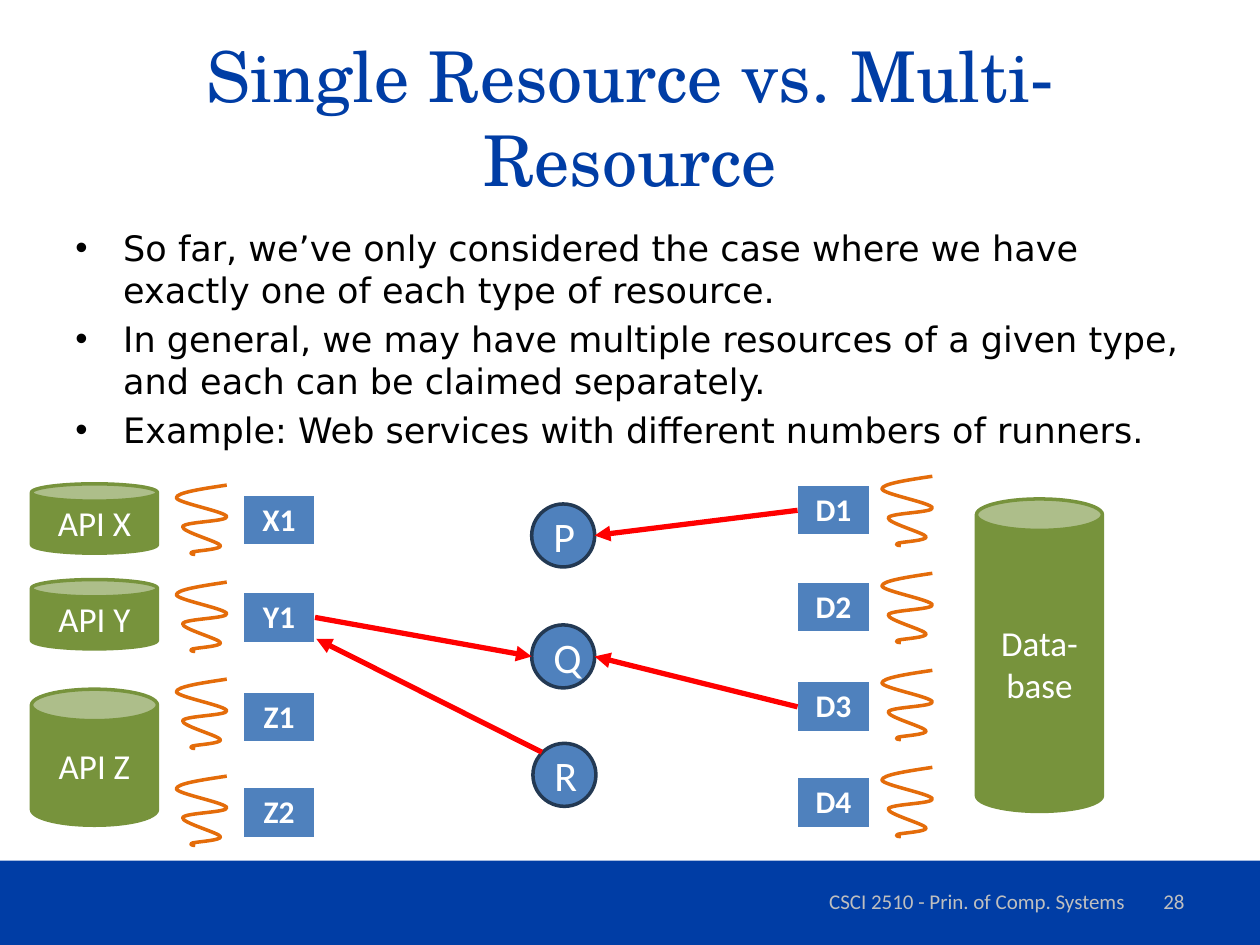
from lxml.etree import SubElement
from pptx import Presentation
from pptx.dml.color import RGBColor
from pptx.enum.shapes import MSO_CONNECTOR, MSO_SHAPE
from pptx.enum.text import MSO_ANCHOR, PP_ALIGN
from pptx.oxml.ns import qn
from pptx.util import Pt

PX = 9144
COLORS = {
    "navy": "003DA5", "white": "FFFFFF", "black": "000000", "grey": "BFBFBF",
    "green": "77933C", "blue": "4F81BD", "outline": "233953",
    "orange": "E46C0A", "red": "FF0000",
}
COIL_START = (40, 0)
COIL_CURVES = [
    ((20, 3), (0, 6), (0, 10)),
    ((0, 14), (39, 21), (40, 25)),
    ((41, 29), (6, 29), (5, 33)),
    ((4, 37), (34, 45), (35, 48)),
    ((36, 51), (17, 52), (13, 53)),
    ((10, 54), (12, 55), (15, 55)),
]
COIL_TOPS = [0, 77, 154, 231]
RUNNER_TOPS = [0, 77, 156, 232]


def emu(*lengths):
    return [v * PX for v in lengths]


def rgb(name):
    return RGBColor.from_string(COLORS[name])


def style_text(p, size, color, font="Calibri", align=PP_ALIGN.CENTER, bold=False):
    p.alignment = align
    for r in p.runs:
        r.font.size = Pt(size)
        r.font.name = font
        r.font.bold = bold
        r.font.color.rgb = rgb(color)


def add_text(s, box, text, size, color, font="Calibri", align=PP_ALIGN.CENTER):
    tf = s.shapes.add_textbox(*emu(*box)).text_frame
    tf.word_wrap = True
    tf.vertical_anchor = MSO_ANCHOR.MIDDLE
    tf.text = text
    style_text(tf.paragraphs[0], size, color, font, align)


def add_node(s, kind, box, text, size, fill, line):
    sp = s.shapes.add_shape(kind, *emu(*box))
    sp.shadow.inherit = False
    sp.fill.solid()
    sp.fill.fore_color.rgb = rgb(fill)
    sp.line.color.rgb = rgb(line)
    sp.line.width = Pt(2)
    tf = sp.text_frame
    tf.vertical_anchor = MSO_ANCHOR.MIDDLE
    tf.text = text
    style_text(tf.paragraphs[0], size, "white")


def add_bullets(s, box, items):
    tf = s.shapes.add_textbox(*emu(*box)).text_frame
    tf.word_wrap = True
    tf.text = "\n".join(items)
    for i, p in enumerate(tf.paragraphs):
        pPr = p._p.get_or_add_pPr()
        indent = emu(38)[0]
        pPr.set("marL", str(indent))
        pPr.set("indent", str(-indent))
        SubElement(pPr, qn("a:buFont"), typeface="Arial")
        SubElement(pPr, qn("a:buChar"), char="•")
        style_text(p, 20, "black", "DejaVu Sans", PP_ALIGN.LEFT)
        p.space_before = Pt(4 if i else 0)


def add_coil(s, x, y):
    points = [emu(x + dx, y + dy) for curve in COIL_CURVES for dx, dy in curve]
    builder = s.shapes.build_freeform(*emu(x + COIL_START[0], y + COIL_START[1]))
    builder.add_line_segments(points, close=False)
    sp = builder.convert_to_shape()
    outline = next(sp._element.iter(qn("a:path")))
    lines = outline.findall(qn("a:lnTo"))
    for i in range(0, len(lines), 3):
        curve = SubElement(outline, qn("a:cubicBezTo"))
        for line in lines[i:i + 3]:
            curve.append(line[0])
            outline.remove(line)
    sp.shadow.inherit = False
    sp.fill.background()
    sp.line.color.rgb = rgb("orange")
    sp.line.width = Pt(2)


def add_runner(s, x, y, label):
    table = s.shapes.add_table(1, 1, *emu(x, y, 57, 41)).table
    cell = table.cell(0, 0)
    cell.text = label
    style_text(cell.text_frame.paragraphs[0], 18, "white", bold=True)
    tcPr = cell._tc.get_or_add_tcPr()
    for side, width in (("L", 1), ("R", 1), ("T", 1), ("B", 3)):
        ln = SubElement(tcPr, qn(f"a:ln{side}"), w=str(Pt(width)))
        fill = SubElement(ln, qn("a:solidFill"))
        SubElement(fill, qn("a:srgbClr"), val=COLORS["white"])
    cell.fill.solid()
    cell.fill.fore_color.rgb = rgb("blue")


def add_runner_column(s, labels, coil_at, runner_at):
    for top in COIL_TOPS:
        add_coil(s, coil_at[0], coil_at[1] + top)
    for label, top in zip(labels, RUNNER_TOPS):
        add_runner(s, runner_at[0], runner_at[1] + top, label)


def add_arrow(s, start, end):
    cxn = s.shapes.add_connector(MSO_CONNECTOR.STRAIGHT, *emu(*start, *end))
    cxn.line.color.rgb = rgb("red")
    cxn.line.width = Pt(3)
    spPr = cxn._element.spPr
    SubElement(spPr.find(qn("a:ln")), qn("a:tailEnd"), type="triangle")
    SubElement(spPr, qn("a:effectLst"))


def add_footer(s, x, y, w, h):
    bar = s.shapes.add_shape(MSO_SHAPE.RECTANGLE, *emu(x, y, w, h))
    bar.shadow.inherit = False
    bar.fill.solid()
    bar.fill.fore_color.rgb = rgb("navy")
    bar.line.fill.background()
    add_text(s, (x + 617, y + 12, 317, 40), "CSCI 2510 - Prin. of Comp. Systems", 12, "grey")
    add_text(s, (x + 717, y + 12, 233, 40), "28", 12, "grey", align=PP_ALIGN.RIGHT)


def add_services(s, x, y):
    for name, top, height in (("API X", 0, 55), ("API Y", 76, 55), ("API Z", 163, 108)):
        add_node(s, MSO_SHAPE.CAN, (x, y + top, 100, height), name, 20, "green", "green")
    add_runner_column(s, ["X1", "Y1", "Z1", "Z2"], (x + 115, y + 1), (x + 168, y + 9))


def add_database(s, x, y):
    add_node(s, MSO_SHAPE.CAN, (x + 142, y + 18, 100, 248), "Data-base", 20, "green", "green")
    add_runner_column(s, ["D1", "D2", "D3", "D4"], (x + 67, y), (x, y + 7))


def add_processes(s, x, y):
    for name, left, top in (("P", 0, 0), ("Q", 0, 96), ("R", 1, 190)):
        add_node(s, MSO_SHAPE.OVAL, (x + left, y + top, 50, 50), name, 24, "blue", "outline")


def main():
    prs = Presentation()
    prs.slide_width, prs.slide_height = emu(1000, 750)
    s = prs.slides.add_slide(prs.slide_layouts[6])
    add_footer(s, 0, 683, 1000, 67)
    add_text(s, (50, 30, 900, 125), "Single Resource vs. Multi-Resource", 40,
             "navy", "TeX Gyre Schola")
    add_bullets(s, (50, 175, 900, 495), [
        "So far, we’ve only considered the case where we have exactly one of each type of resource.",
        "In general, we may have multiple resources of a given type, and each can be claimed separately.",
        "Example: Web services with different numbers of runners.",
    ])
    add_database(s, 633, 378)
    add_services(s, 25, 384)
    add_processes(s, 422, 400)
    for start, end in (
        ((633, 405), (472, 425)),
        ((633, 561), (472, 521)),
        ((250, 490), (422, 521)),
        ((430, 597), (251, 507)),
    ):
        add_arrow(s, start, end)
    prs.save("out.pptx")


if __name__ == "__main__":
    main()
